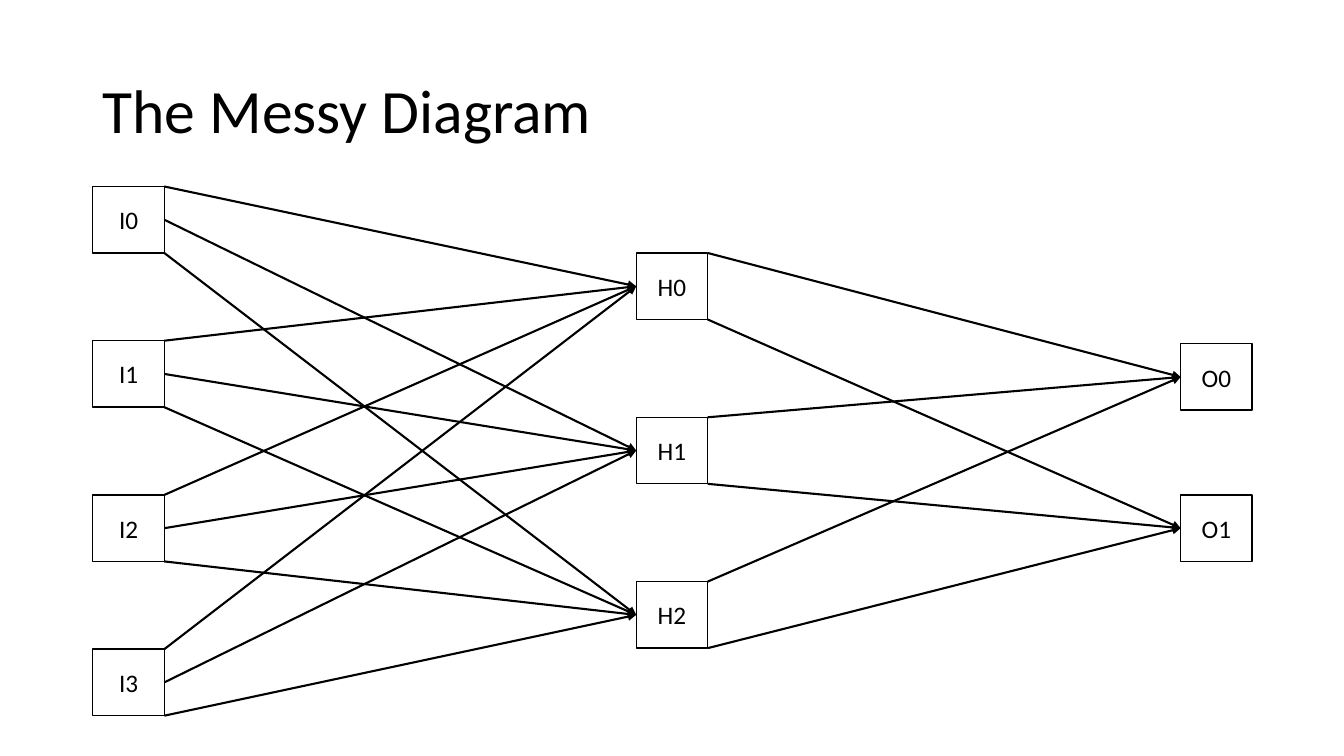
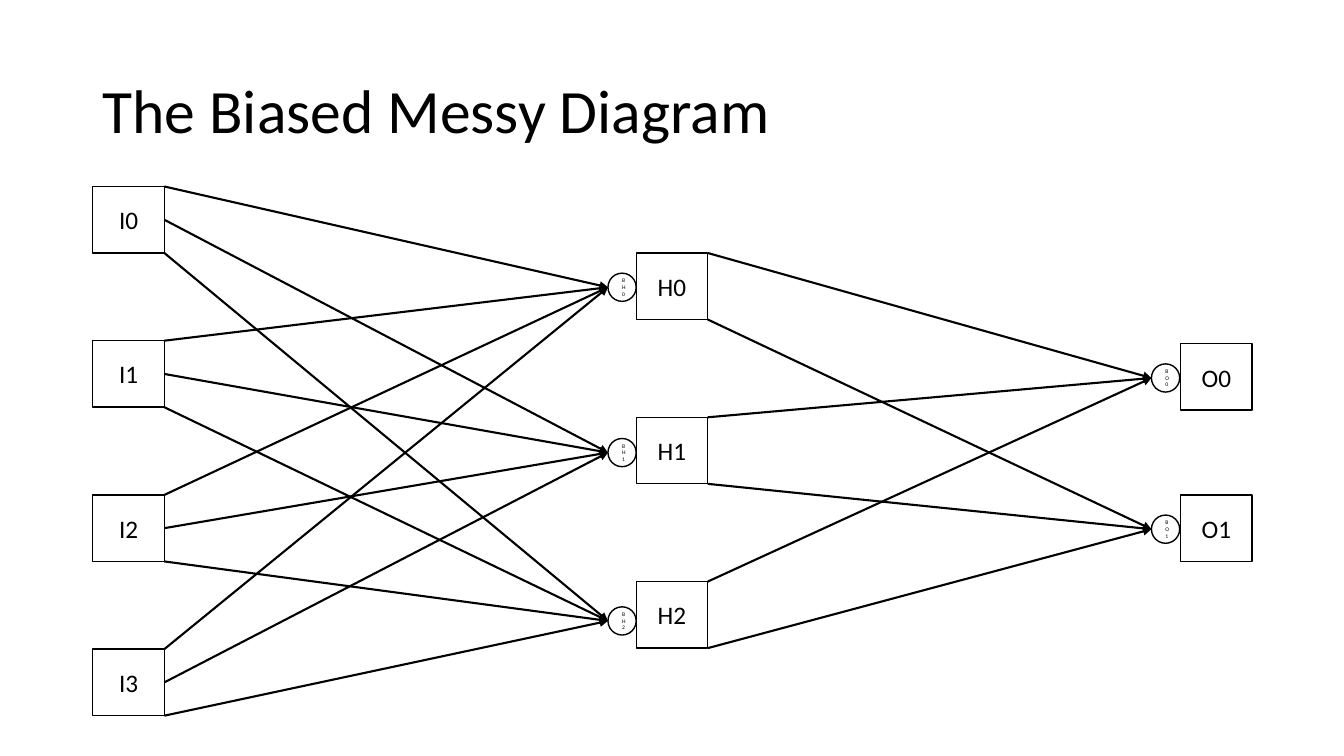
"""Build two slides that show a layered network, without and with biases."""
from collections import namedtuple

from lxml import etree
from pptx import Presentation
from pptx.dml.color import RGBColor
from pptx.enum.shapes import MSO_CONNECTOR, MSO_SHAPE
from pptx.enum.text import MSO_ANCHOR, PP_ALIGN
from pptx.oxml.ns import qn
from pptx.util import Inches, Pt

STRAIGHT = MSO_CONNECTOR.STRAIGHT
RECTANGLE = MSO_SHAPE.RECTANGLE
OVAL = MSO_SHAPE.OVAL
MIDDLE = MSO_ANCHOR.MIDDLE
LEFT = PP_ALIGN.LEFT
CENTER = PP_ALIGN.CENTER

COLORS = {"ink": "000000", "paper": "FFFFFF"}
FONT = "Calibri"
NODE_WIDTH, NODE_HEIGHT = 0.71, 0.66
BIAS_SIZE = 0.28
BIAS_GAP = 0.01

Layer = namedtuple("Layer", "letter count left top step bias_tops")
LAYERS = [
    Layer("I", 4, 0.92, 1.85, 1.53, ()),
    Layer("H", 3, 6.31, 2.51, 1.63, (2.71, 4.35, 6.02)),
    Layer("O", 2, 11.71, 3.41, 1.5, (3.61, 5.11)),
]


def color(name):
    """Return the named colour."""
    return RGBColor.from_string(COLORS[name])


def write(box, text, size, align):
    """Put one styled paragraph in the middle of a box and return it."""
    frame = box.text_frame
    frame.text = text
    frame.word_wrap = True
    frame.vertical_anchor = MIDDLE
    paragraph = frame.paragraphs[0]
    paragraph.alignment = align
    span = paragraph.runs[0]
    span.font.name = FONT
    span.font.size = Pt(size)
    span.font.color.rgb = color("ink")
    return paragraph


def add_title(page, text):
    """Add the slide title."""
    box = page.shapes.add_textbox(Inches(0.92), Inches(0.4), Inches(11.5), Inches(1.45))
    write(box, text, 44, LEFT).line_spacing = 0.9


def add_node(page, kind, left, top, width, height, label, size):
    """Add an outlined shape with a centred label."""
    node = page.shapes.add_shape(kind, Inches(left), Inches(top), Inches(width), Inches(height))
    node.shadow.inherit = False
    node.fill.solid()
    node.fill.fore_color.rgb = color("paper")
    node.line.color.rgb = color("ink")
    node.line.width = Pt(1)
    write(node, label, size, CENTER)


def add_arrow(page, start, end):
    """Add a straight arrow between two points."""
    points = [Inches(value) for value in (*start, *end)]
    arrow = page.shapes.add_connector(STRAIGHT, *points)
    arrow.line.color.rgb = color("ink")
    arrow.line.width = Pt(1.5)
    etree.SubElement(arrow.line._get_or_add_ln(), qn("a:tailEnd"), type="triangle")
    etree.SubElement(arrow._element.spPr, qn("a:effectLst"))


def node_top(layer, index):
    """Return the top of a node in a layer."""
    return layer.top + index * layer.step


def bias_left(layer):
    """Return the left edge of the bias circles of a layer."""
    return layer.left - BIAS_SIZE - (BIAS_GAP if layer.letter == "O" else 0)


def arrow_end(layer, index, biased):
    """Return the point where arrows enter a node or its bias circle."""
    if biased:
        return bias_left(layer), layer.bias_tops[index] + BIAS_SIZE / 2
    return layer.left, node_top(layer, index) + NODE_HEIGHT / 2


def connect_layers(page, source, target, biased):
    """Join all nodes of two layers, spreading the starts along each right side."""
    for to in range(target.count):
        drop = NODE_HEIGHT * to / (target.count - 1)
        end = arrow_end(target, to, biased)
        for index in range(source.count):
            start = (source.left + NODE_WIDTH, node_top(source, index) + drop)
            add_arrow(page, start, end)


def add_network_slide(deck, title, biased):
    """Add a slide with the whole network."""
    page = deck.slides.add_slide(deck.slide_layouts[6])
    add_title(page, title)
    for layer in LAYERS:
        for index in range(layer.count):
            add_node(page, RECTANGLE, layer.left, node_top(layer, index),
                     NODE_WIDTH, NODE_HEIGHT, f"{layer.letter}{index}", 18)
    for source, target in zip(LAYERS, LAYERS[1:]):
        connect_layers(page, source, target, biased)
    if biased:
        for layer in LAYERS:
            for index, top in enumerate(layer.bias_tops):
                add_node(page, OVAL, bias_left(layer), top,
                         BIAS_SIZE, BIAS_SIZE, f"B{layer.letter}{index}", 4)


def main():
    """Build and save the deck."""
    deck = Presentation()
    deck.slide_width = Inches(13.33)
    deck.slide_height = Inches(7.5)
    add_network_slide(deck, "The Messy Diagram", biased=False)
    add_network_slide(deck, "The Biased Messy Diagram", biased=True)
    deck.save("out.pptx")


main()
